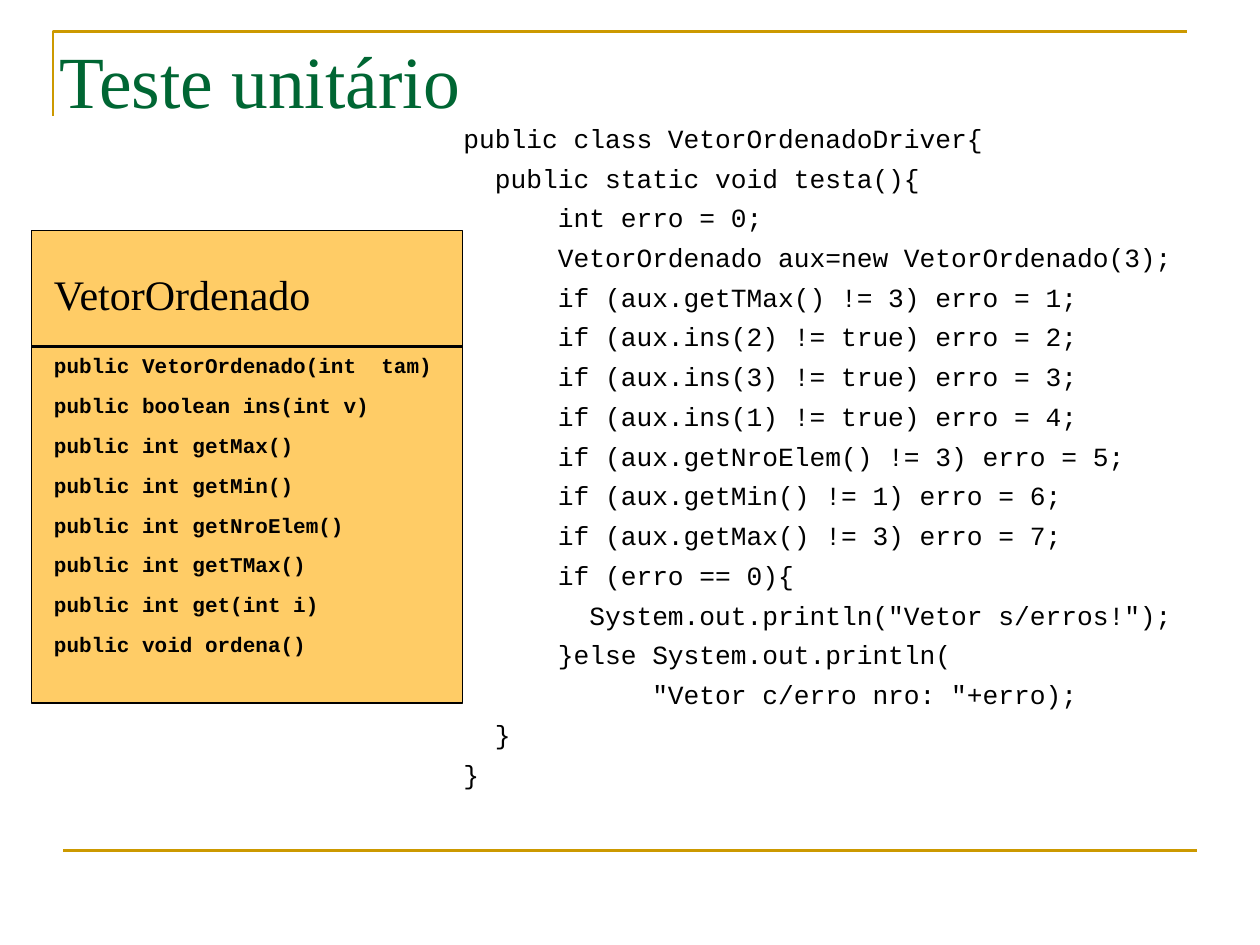
import pptx
import pptx.dml.color
import pptx.enum.shapes
import pptx.enum.text
import pptx.oxml.ns
import pptx.util
from lxml import etree

TITLE = "Teste unitário"
CLASS_NAME = "VetorOrdenado"
METHODS = [
    "public VetorOrdenado(int  tam)",
    "public boolean ins(int v)",
    "public int getMax()",
    "public int getMin()",
    "public int getNroElem()",
    "public int getTMax()",
    "public int get(int i)",
    "public void ordena()",
]
DRIVER_CODE = '''public class VetorOrdenadoDriver{
  public static void testa(){
      int erro = 0;
      VetorOrdenado aux=new VetorOrdenado(3);
      if (aux.getTMax() != 3) erro = 1;
      if (aux.ins(2) != true) erro = 2;
      if (aux.ins(3) != true) erro = 3;
      if (aux.ins(1) != true) erro = 4;
      if (aux.getNroElem() != 3) erro = 5;
      if (aux.getMin() != 1) erro = 6;
      if (aux.getMax() != 3) erro = 7;
      if (erro == 0){
        System.out.println("Vetor s/erros!");
      }else System.out.println(
            "Vetor c/erro nro: "+erro);
  }
}'''.splitlines()

GOLD = pptx.dml.color.RGBColor(0xCC, 0x99, 0x00)
GREEN = pptx.dml.color.RGBColor(0x00, 0x66, 0x33)
ORANGE = pptx.dml.color.RGBColor(0xFF, 0xCC, 0x66)
BLACK = pptx.dml.color.RGBColor(0x00, 0x00, 0x00)
SERIF, MONO = "Times New Roman", "Courier New"

WIDTH, HEIGHT = 10, 7.5
RULE_LENGTH = 0.9 * WIDTH
BOX_LEFT, BOX_TOP, BOX_WIDTH, BOX_HEIGHT = 0.25, 1.83, 3.42, HEIGHT / 2
DIVIDER_TOP = 2.75
TEXT_LEFT = BOX_LEFT + 0.08

inches = pptx.util.Inches


def write(holder, lines, *, size, font=SERIF, color=BLACK, bold=False, gap=0, wrap=True,
          anchor=pptx.enum.text.MSO_ANCHOR.TOP):
    """Fill a shape with one paragraph per line, gap points apart."""
    frame = holder.text_frame
    frame.word_wrap = wrap
    frame.auto_size = pptx.enum.text.MSO_AUTO_SIZE.NONE
    frame.vertical_anchor = anchor
    for number, line in enumerate(lines):
        paragraph = frame.add_paragraph() if number else frame.paragraphs[0]
        paragraph.alignment = pptx.enum.text.PP_ALIGN.LEFT
        paragraph.space_before = pptx.util.Pt(gap if number else 0)
        run = paragraph.add_run()
        run.text = line
        run.font.name, run.font.size, run.font.bold = font, pptx.util.Pt(size), bold
        run.font.color.rgb = color


def add_text(slide, left, top, width, height, lines, **style):
    holder = slide.shapes.add_textbox(*map(inches, (left, top, width, height)))
    write(holder, lines, **style)


def add_rule(slide, left, top, length, color):
    rule = slide.shapes.add_connector(
        pptx.enum.shapes.MSO_CONNECTOR.STRAIGHT,
        *map(inches, (left, top, left + length, top)))
    rule.line.color.rgb = color
    rule.line.width = pptx.util.Pt(1.5)
    etree.SubElement(rule._element.spPr, pptx.oxml.ns.qn("a:effectLst"))


def add_title_frame(slide):
    left, top, drop = 0.42, 0.25, 0.67
    builder = slide.shapes.build_freeform(inches(left), inches(top + drop))
    builder.add_line_segments(
        [(inches(left), inches(top)), (inches(left + RULE_LENGTH), inches(top))], close=False)
    corner = builder.convert_to_shape()
    corner.shadow.inherit = False
    corner.fill.background()
    corner.line.color.rgb = GOLD
    corner.line.width = pptx.util.Pt(1.5)


def add_class_box(slide):
    box = slide.shapes.add_shape(
        pptx.enum.shapes.MSO_SHAPE.RECTANGLE,
        *map(inches, (BOX_LEFT, BOX_TOP, BOX_WIDTH, BOX_HEIGHT)))
    box.shadow.inherit = False
    box.fill.solid()
    box.fill.fore_color.rgb = ORANGE
    box.line.color.rgb = BLACK
    box.line.width = pptx.util.Pt(0.75)
    add_rule(slide, BOX_LEFT, DIVIDER_TOP, BOX_WIDTH, BLACK)
    add_text(slide, TEXT_LEFT, 2.08, 2.27, 0.5, [CLASS_NAME], size=24, wrap=False)
    add_text(slide, TEXT_LEFT, DIVIDER_TOP, 3.25, 2.69, METHODS,
             size=12, font=MONO, bold=True, gap=8.35)


def main():
    deck = pptx.Presentation()
    deck.slide_width, deck.slide_height = inches(WIDTH), inches(HEIGHT)
    slide = deck.slides.add_slide(deck.slide_layouts.get_by_name("Title Only"))

    add_title_frame(slide)
    add_rule(slide, WIDTH / 20, 0.9 * HEIGHT, RULE_LENGTH, GOLD)

    title = slide.shapes.title
    title.left, title.top, title.width, title.height = map(inches, (0.37, 0, 9.05, 1.25))
    write(title, [TITLE], size=42, color=GREEN, anchor=pptx.enum.text.MSO_ANCHOR.MIDDLE)

    add_text(slide, 3.58, 0.92, 6.42, 5.67, DRIVER_CODE, size=15, font=MONO, gap=4.7)
    add_class_box(slide)
    deck.save("out.pptx")


if __name__ == "__main__":
    main()
